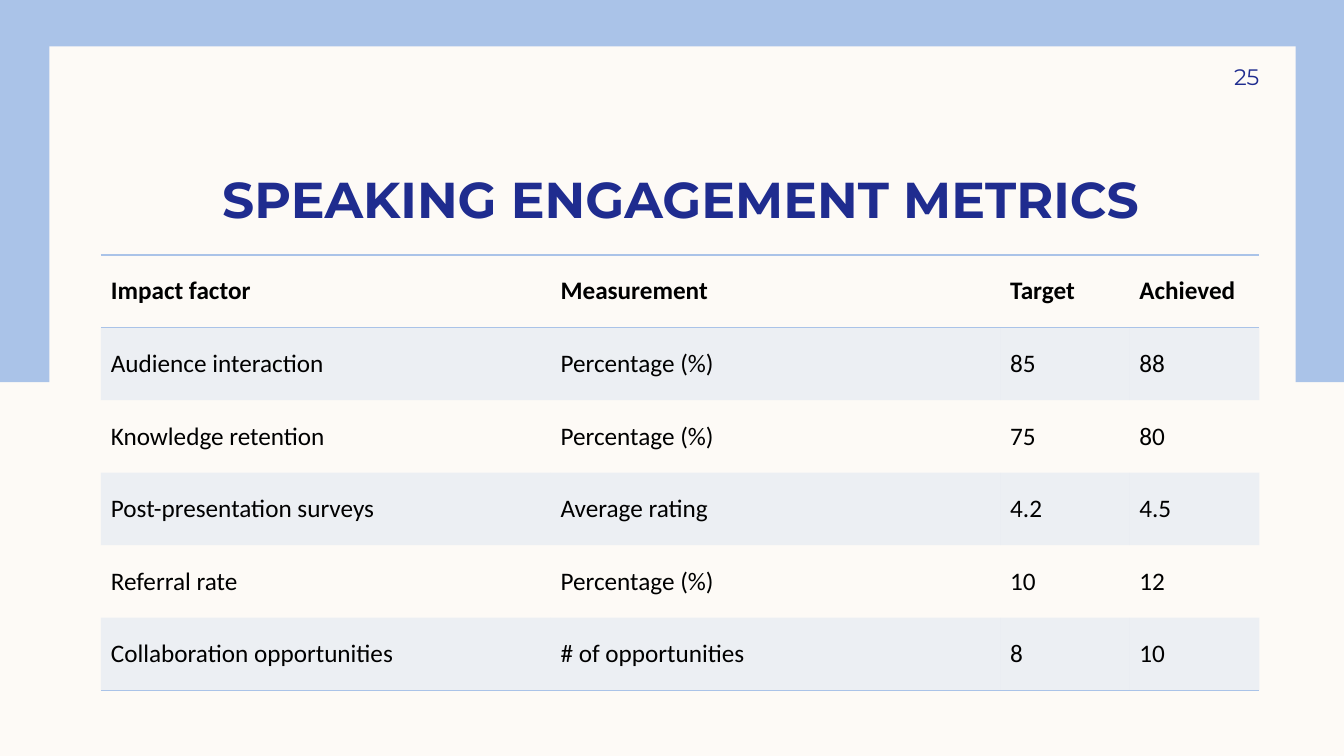
import pptx
import pptx.util
import pptx.dml.color
import pptx.enum.shapes
import pptx.enum.text
import pptx.oxml
import pptx.oxml.ns
import lxml.etree

Inches = pptx.util.Inches
BLUE, CREAM, NAVY, BLACK = "AAC3E8", "FDFAF6", "1F2C8F", "000000"


def paint(target, color):
    if hasattr(target, "solid"):
        target.solid()
        target = target.fore_color
    target.rgb = pptx.dml.color.RGBColor.from_string(color)


def style(p, name, size, color, bold=False):
    p.font.name = name
    p.font.size = pptx.util.Pt(size)
    p.font.bold = bold
    paint(p.font.color, color)


prs = pptx.Presentation()
prs.slide_width, prs.slide_height = Inches(13.33), Inches(7.5)
s = prs.slides.add_slide(prs.slide_layouts[5])
paint(s.background.fill, CREAM)

panels = [(0, 0, 13.33, 3.79, BLUE), (0.49, 0.46, 12.36, 6.59, CREAM)]
for *box, color in panels:
    sp = s.shapes.add_shape(pptx.enum.shapes.MSO_SHAPE.RECTANGLE, *map(Inches, box))
    sp.shadow.inherit = False
    paint(sp.fill, color)
    sp.line.fill.background()

title = s.shapes.title
title.element.getparent().append(title.element)
title.left, title.top, title.width, title.height = map(Inches, (1, 1.16, 11.5, 1.11))
tf = title.text_frame
tf.text = "SPEAKING ENGAGEMENT METRICS"
tf.word_wrap = True
tf.auto_size = pptx.enum.text.MSO_AUTO_SIZE.NONE
tf.vertical_anchor = pptx.enum.text.MSO_ANCHOR.BOTTOM
tf.margin_top = tf.margin_bottom = 0
p = tf.paragraphs[0]
p.alignment = pptx.enum.text.PP_ALIGN.CENTER
style(p, "Montserrat", 36, NAVY, True)

rows = [
    ("Impact factor", "Measurement", "Target", "Achieved"),
    ("Audience interaction", "Percentage (%)", "85", "88"),
    ("Knowledge retention", "Percentage (%)", "75", "80"),
    ("Post-presentation surveys", "Average rating", "4.2", "4.5"),
    ("Referral rate", "Percentage (%)", "10", "12"),
    ("Collaboration opportunities", "# of opportunities", "8", "10"),
]
widths = [4.46, 4.46, 1.28, 1.29]
row_height = 0.72
borders = {0: ("lnB", "lnT"), len(rows) - 1: ("lnB",)}

frame = s.shapes.add_table(len(rows), len(widths), Inches(1), Inches(2.53),
                           Inches(sum(widths)), Inches(row_height * len(rows)))
table = frame.table
no_style = table._tbl.tblPr.find(pptx.oxml.ns.qn("a:tableStyleId"))
no_style.text = "{2D5ABB26-0587-4C30-8999-92F81FD0307C}"
for column, width in zip(table.columns, widths):
    column.width = Inches(width)

for i, texts in enumerate(rows):
    table.rows[i].height = Inches(row_height)
    for j, text in enumerate(texts):
        cell = table.cell(i, j)
        cell.text = text
        cell.vertical_anchor = pptx.enum.text.MSO_ANCHOR.MIDDLE
        style(cell.text_frame.paragraphs[0], "Calibri", 18, BLACK, i == 0)
        tcPr = cell._tc.get_or_add_tcPr()
        if i % 2:
            paint(cell.fill, BLUE)
            tint = tcPr.find(".//" + pptx.oxml.ns.qn("a:srgbClr"))
            lxml.etree.SubElement(tint, pptx.oxml.ns.qn("a:alpha"), val="20000")
        else:
            cell.fill.background()
        for side in borders.get(i, ()):
            tcPr.insert(0, pptx.oxml.parse_xml(
                f'<a:{side} {pptx.oxml.ns.nsdecls("a")} w="12700"><a:solidFill>'
                f'<a:srgbClr val="{BLUE}"/></a:solidFill></a:{side}>'))

number = s.shapes.add_textbox(*map(Inches, (11.32, 0.5, 1.17, 0.52)))
tf = number.text_frame
tf.word_wrap = True
tf.vertical_anchor = pptx.enum.text.MSO_ANCHOR.MIDDLE
tf.margin_right = 0
p = tf.paragraphs[0]
p.text = "25"
p.alignment = pptx.enum.text.PP_ALIGN.RIGHT
style(p, "Montserrat", 16, NAVY)

prs.save("out.pptx")
